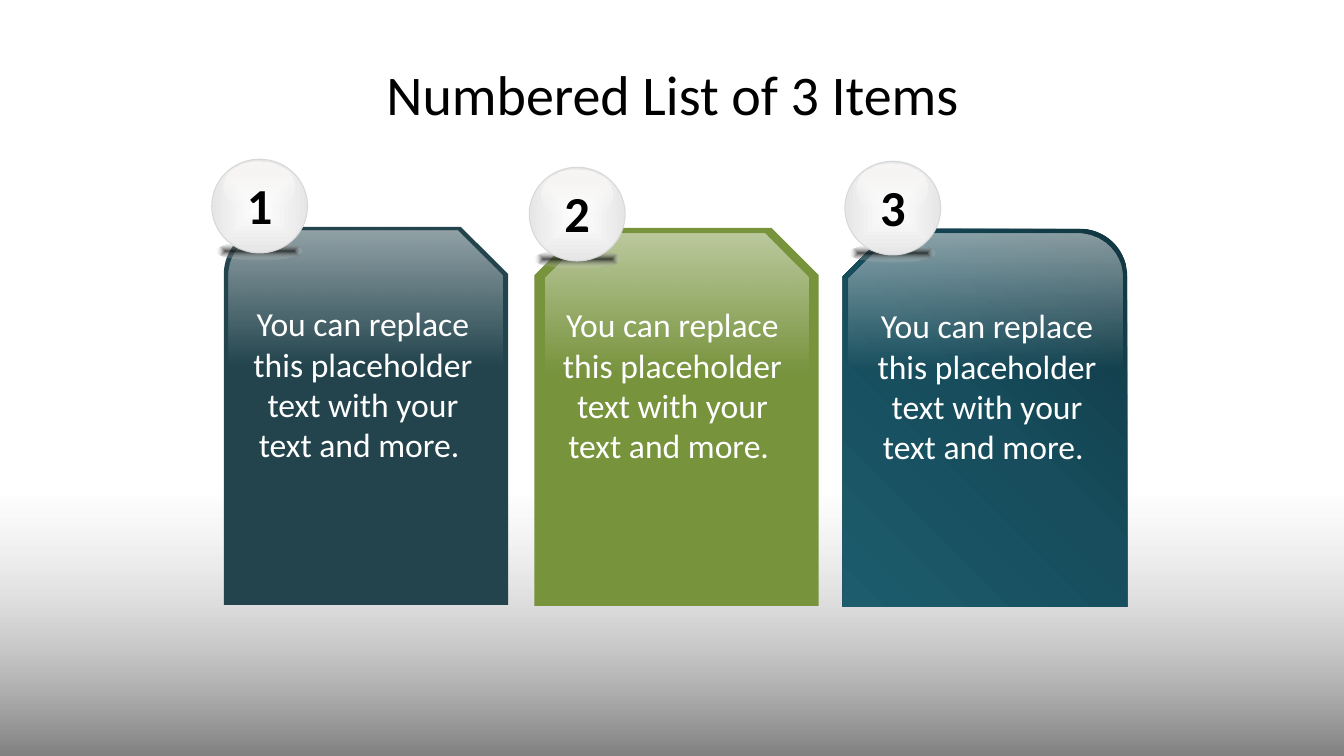
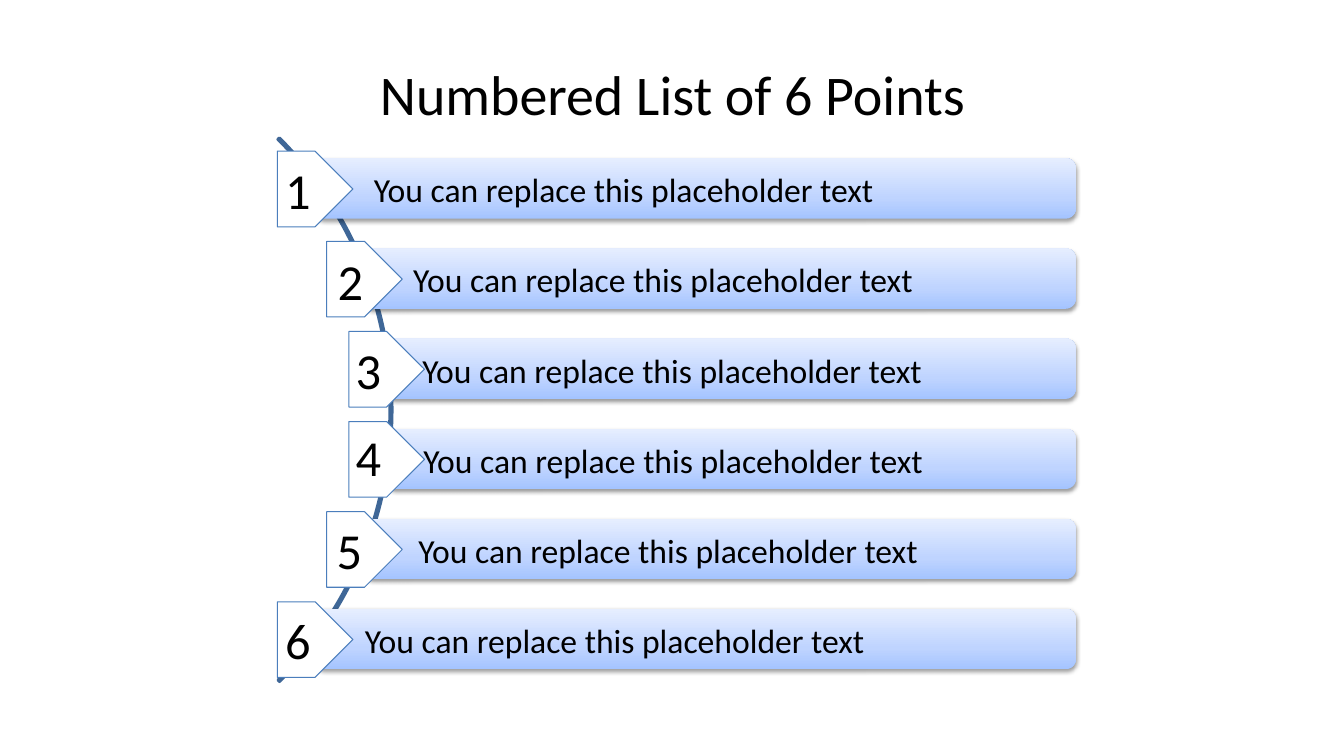
from pptx import Presentation
from pptx.dml.color import RGBColor
from pptx.enum.shapes import MSO_SHAPE
from pptx.enum.text import MSO_ANCHOR, MSO_AUTO_SIZE, PP_ALIGN
from pptx.oxml import parse_xml
from pptx.oxml.ns import nsdecls
from pptx.util import Inches, Pt

WHITE = RGBColor(0xFF, 0xFF, 0xFF)
BLACK = RGBColor(0x00, 0x00, 0x00)
SLATE = RGBColor(0x23, 0x44, 0x4D)
GREEN = RGBColor(0x77, 0x93, 0x3C)
TEAL_DARK = RGBColor(0x10, 0x36, 0x41)
TEAL_MID = RGBColor(0x17, 0x4D, 0x5C)
TEAL_LIGHT = RGBColor(0x1C, 0x5C, 0x6D)
GREY_LIGHT = RGBColor(0xD9, 0xD9, 0xD9)
GREY_MID = RGBColor(0xBF, 0xBF, 0xBF)
GREY_DARK = RGBColor(0x80, 0x80, 0x80)
INK = RGBColor(0x17, 0x17, 0x17)
PEARL = RGBColor(0xE6, 0xE6, 0xE6)
CREAM = RGBColor(0xFF, 0xFC, 0xF9)
BALL_EDGE = RGBColor(0xD7, 0xD8, 0xD9)
ARC_BLUE = RGBColor(0x3F, 0x67, 0x97)
PLATE_BLUE = RGBColor(0x4B, 0x7E, 0xBC)
BAR_DEEP = RGBColor(0xA4, 0xC4, 0xFF)
BAR_MID = RGBColor(0xBF, 0xD4, 0xFF)
BAR_PALE = RGBColor(0xE6, 0xEE, 0xFF)

# Gradients: stops of (position %, colour, opacity %) and an angle; None runs from the centre
FLOOR = ([(0, GREY_LIGHT, 4), (46, GREY_MID, 60), (100, GREY_DARK, 100)], 90)
GLOSS = ([(0, WHITE, 50), (50, WHITE, 0)], 90)
TEAL = ([(0, TEAL_DARK, 100), (50, TEAL_MID, 100), (100, TEAL_LIGHT, 100)], 45)
BALL = ([(0, WHITE, 100), (100, PEARL, 100)], None)
BALL_SHADOW = ([(0, INK, 76), (100, WHITE, 0)], None)
BALL_SHINE = ([(0, CREAM, 77), (100, WHITE, 0)], 90)
BAR = ([(0, BAR_DEEP, 100), (35, BAR_MID, 100), (100, BAR_PALE, 100)], 270)

BASE = {"name": "Calibri", "color": BLACK}
TITLE = {**BASE, "size": Pt(40)}
NUMBER = {**BASE, "size": Pt(36)}
BALL_NUMBER = {**NUMBER, "bold": True}
LABEL = {**BASE, "size": Pt(24)}
CARD_TEXT = {**LABEL, "color": WHITE}


def set_gradient(sp, stops, angle):
    gs = "".join(
        f'<a:gs pos="{pos * 1000}"><a:srgbClr val="{color}">'
        f'<a:alpha val="{alpha * 1000}"/></a:srgbClr></a:gs>'
        for pos, color, alpha in stops)
    if angle is None:
        course = ('<a:path path="shape"><a:fillToRect l="50000" t="50000" '
                  'r="50000" b="50000"/></a:path>')
    else:
        course = f'<a:lin ang="{angle * 60000}" scaled="0"/>'
    grad = parse_xml(f'<a:gradFill {nsdecls("a")} rotWithShape="1">'
                     f'<a:gsLst>{gs}</a:gsLst>{course}</a:gradFill>')
    sp.fill.background()
    spPr = sp._element.spPr
    spPr.replace(spPr.find("{*}noFill"), grad)


def add_shape(slide, kind, box, fill=None, line=None, flip=False):
    """Fill is a colour, a gradient or None; line is (colour, points)."""
    sp = slide.shapes.add_shape(kind, *map(Inches, box))
    sp.shadow.inherit = False
    if fill is None:
        sp.fill.background()
    elif isinstance(fill, RGBColor):
        sp.fill.solid()
        sp.fill.fore_color.rgb = fill
    else:
        set_gradient(sp, *fill)
    if line:
        sp.line.color.rgb, sp.line.width = line[0], Pt(line[1])
    else:
        sp.line.fill.background()
    if flip:
        sp._element.spPr.find("{*}xfrm").set("flipH", "1")
    return sp


def add_text(slide, text, box, fmt, align=PP_ALIGN.LEFT, wrap=False):
    tb = slide.shapes.add_textbox(*map(Inches, box))
    tf = tb.text_frame
    tf.word_wrap = wrap
    tf.auto_size = MSO_AUTO_SIZE.SHAPE_TO_FIT_TEXT
    p = tf.paragraphs[0]
    p.alignment = align
    r = p.add_run()
    r.text = text
    for name, value in fmt.items():
        if name == "color":
            r.font.color.rgb = value
        else:
            setattr(r.font, name, value)
    return tf


def add_title(slide, text):
    tf = add_text(slide, text, (0.67, 0.3, 12, 1.25), TITLE, PP_ALIGN.CENTER, True)
    tf.auto_size = MSO_AUTO_SIZE.NONE
    tf.vertical_anchor = MSO_ANCHOR.MIDDLE


def add_ball(slide, x, y, number):
    oval = MSO_SHAPE.OVAL
    add_shape(slide, oval, (x + 0.05, y + 0.82, 0.85, 0.18), BALL_SHADOW)
    add_shape(slide, oval, (x, y, 0.95, 0.93), BALL, (BALL_EDGE, 0.75))
    add_shape(slide, oval, (x + 0.12, y + 0.02, 0.7, 0.5), BALL_SHINE)
    add_text(slide, str(number), (x + 0.25, y + 0.1, 0.45, 0.71), BALL_NUMBER)


def add_card(slide, x, y, number, kind, fill, gloss, ball, text_dx, flip=False):
    """Gloss and ball are placed relative to the card's top left corner."""
    dx, dy, w, h = gloss
    add_shape(slide, kind, (x, y, 2.82, 3.75), fill, flip=flip)
    add_shape(slide, kind, (x + dx, y + dy, w, h), GLOSS, flip=flip)
    add_ball(slide, x + ball[0], y + ball[1], number)
    add_text(slide, "You can replace this placeholder text with your text and more. ",
             (x + text_dx, y + 0.71, 2.5, 1.72), CARD_TEXT, PP_ALIGN.CENTER, True)


def build_cards_slide(slide):
    add_shape(slide, MSO_SHAPE.RECTANGLE, (0, 4.92, 13.33, 2.58), FLOOR)
    snip_round, snip_both = MSO_SHAPE.SNIP_ROUND_RECTANGLE, MSO_SHAPE.SNIP_2_SAME_RECTANGLE
    add_card(slide, 2.22, 2.25, 1, snip_round, SLATE,
             (0.05, 0.04, 2.71, 2.67), (-0.12, -0.67), 0.13)
    add_card(slide, 5.3, 2.26, 2, snip_both, GREEN,
             (0.11, 0.06, 2.61, 2.77), (-0.05, -0.6), 0.12)
    add_card(slide, 8.36, 2.27, 3, snip_round, TEAL,
             (0.06, 0.05, 2.71, 2.67), (0.02, -0.67), 0.18, flip=True)
    add_title(slide, "Numbered List of 3 Items")


def add_point(slide, x, y, number, label_x, number_dx, number_dy):
    """Place a bar that ends at a fixed right edge, with its arrow plate at x, y."""
    bar_x, bar_right = x + 0.37, 10.67
    bar = add_shape(slide, MSO_SHAPE.ROUNDED_RECTANGLE,
                    (bar_x, y + 0.07, bar_right - bar_x, 0.6), BAR)
    bar._element.spPr.find("{*}effectLst").append(parse_xml(
        f'<a:outerShdw {nsdecls("a")} blurRad="{Pt(3.1)}" dist="{Pt(1.6)}" dir="5400000" '
        f'rotWithShape="0"><a:srgbClr val="{BLACK}"><a:alpha val="38000"/>'
        '</a:srgbClr></a:outerShdw>'))
    add_text(slide, "You can replace this placeholder text",
             (label_x, y + 0.13, 5.21, 0.5), LABEL)
    add_shape(slide, MSO_SHAPE.PENTAGON, (x, y, 0.75, 0.75), WHITE, (PLATE_BLUE, 0.75))
    add_text(slide, str(number), (x + number_dx, y + number_dy, 0.45, 0.71), NUMBER)


def build_points_slide(slide):
    add_title(slide, "Numbered List of 6 Points")
    arc = add_shape(slide, MSO_SHAPE.BLOCK_ARC, (-3.74, 0.25, 7.63, 7.63),
                    line=(ARC_BLUE, 2))
    for i, value in enumerate((189, 27, 0.003)):
        arc.adjustments[i] = value
    points = [  # plate x, label x, number offset
        (2.75, 3.61, -0.02, 0.03),
        (3.24, 4, 0.01, 0.04),
        (3.46, 4.09, -0.03, 0.03),
        (3.46, 4.1, -0.03, 0),
        (3.24, 4.05, 0, 0.02),
        (2.75, 3.52, -0.02, 0.02),
    ]
    top, bottom = 1.5, 5.97
    pitch = (bottom - top) / (len(points) - 1)
    for i, (x, label_x, dx, dy) in enumerate(points):
        add_point(slide, x, top + i * pitch, i + 1, label_x, dx, dy)


def main():
    prs = Presentation()
    prs.slide_width, prs.slide_height = Inches(13.33), Inches(7.5)
    for build in (build_cards_slide, build_points_slide):
        build(prs.slides.add_slide(prs.slide_layouts[6]))
    prs.save("out.pptx")


if __name__ == "__main__":
    main()
